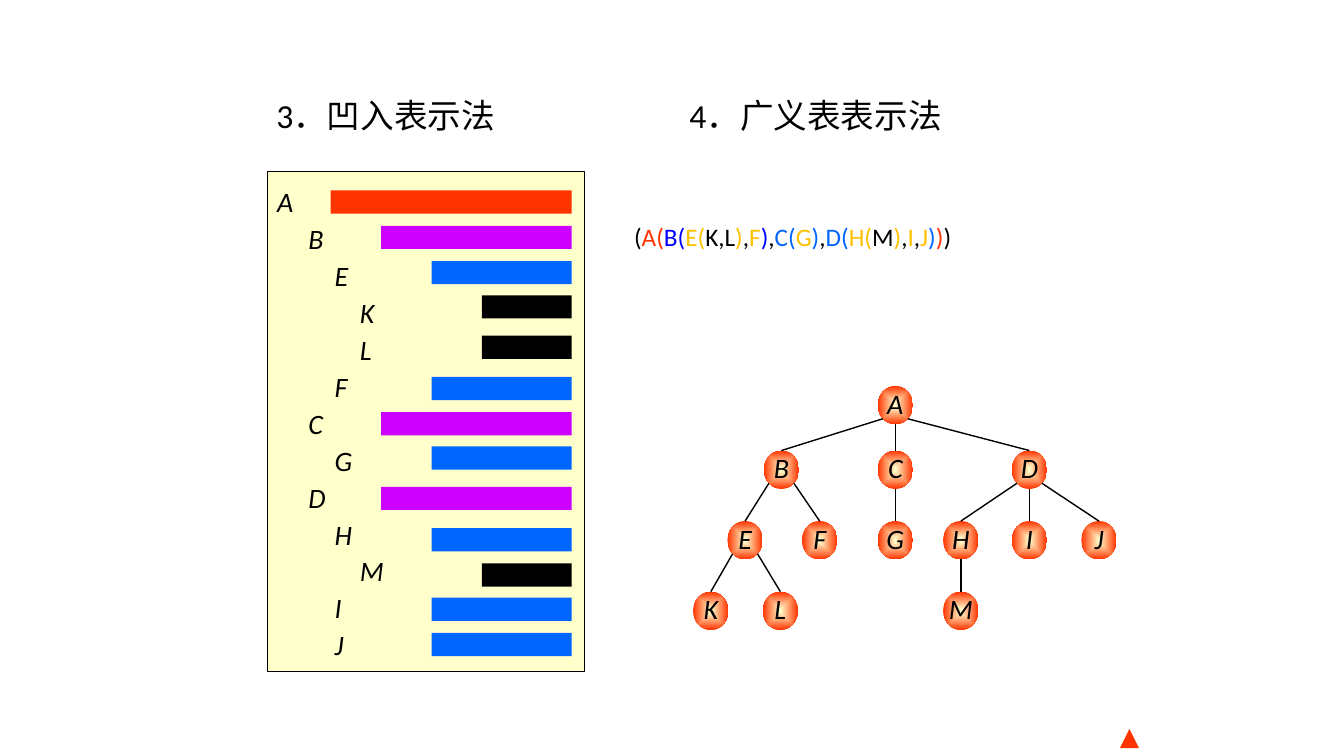
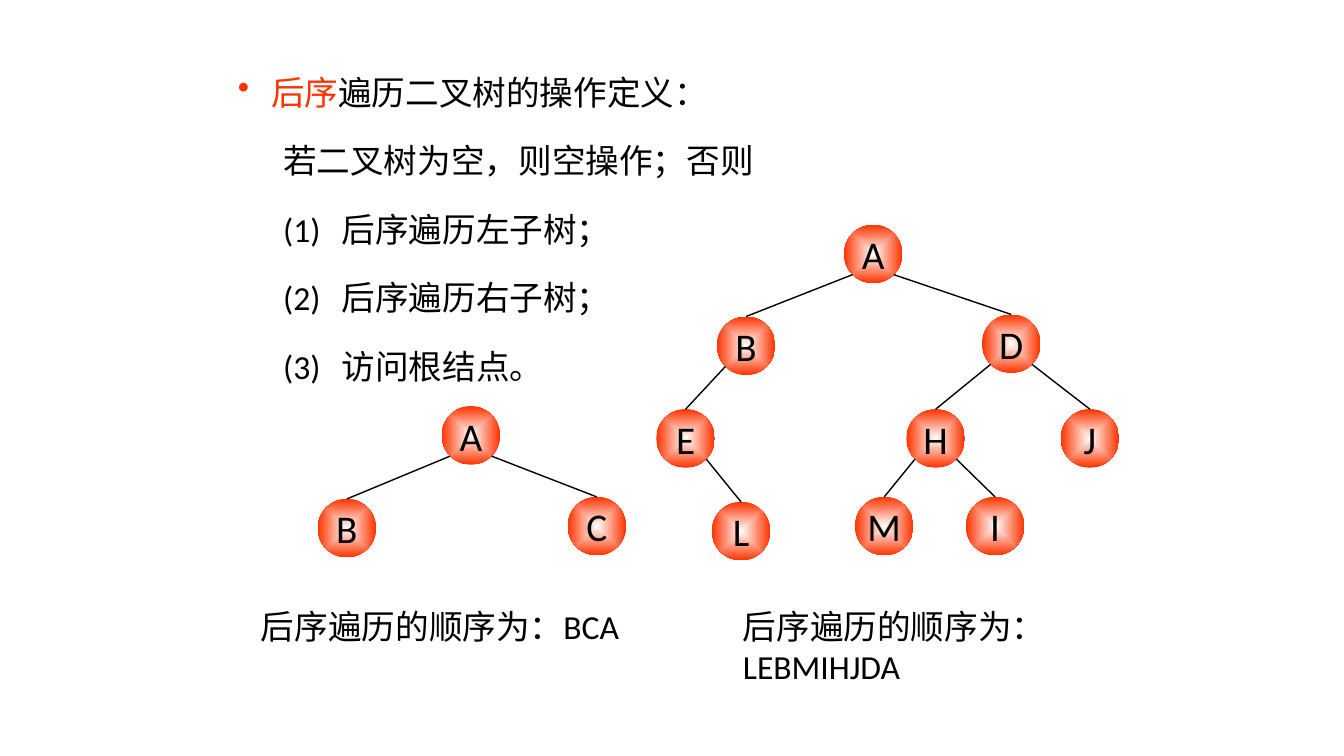
from dataclasses import dataclass
from typing import Optional, Union

from lxml.etree import SubElement
from pptx import Presentation
from pptx.dml.color import RGBColor
from pptx.enum.shapes import MSO_CONNECTOR, MSO_SHAPE
from pptx.enum.text import MSO_ANCHOR, MSO_AUTO_SIZE, PP_ALIGN
from pptx.oxml.ns import qn
from pptx.util import Pt

EMU_PER_PX = 9144
FONT = "Calibri"
BLACK, WHITE, CREAM = "000000", "FFFFFF", "FFFFCC"
RED, PURPLE, BLUE = "FF3300", "CC00FF", "0066FF"
NAVY, GOLD = "0000FF", "FFC000"
TITLE_ONLY, BLANK = 5, 6
DIAGONAL = 0.5 ** 0.5 / 2


@dataclass(frozen=True)
class Row:
    """One line of the indented list with its bar."""
    label: str
    depth: int
    bar_top: int


@dataclass(frozen=True)
class Node:
    """One tree node, placed by its horizontal centre and its top."""
    label: str
    center: int
    top: int
    parent: str = ""


@dataclass(frozen=True)
class TreeStyle:
    """Look of all nodes in one tree."""
    width: int
    height: int
    core: str
    size: int
    italic: bool = False
    spacing: Optional[float] = None


ROWS = [
    Row("A", 0, 189), Row("B", 1, 224), Row("E", 2, 259), Row("K", 3, 293),
    Row("L", 3, 333), Row("F", 2, 374), Row("C", 1, 409), Row("G", 2, 443),
    Row("D", 1, 483), Row("H", 2, 524), Row("M", 3, 559), Row("I", 2, 593),
    Row("J", 2, 628),
]
ROW_INDENTS = [0, 31, 57, 82]
BAR_COLORS = [RED, PURPLE, BLUE, BLACK]
BAR_RIGHT, BAR_WIDTH, BAR_STEP, BAR_HEIGHT = 567, 239, 50, 23

FORMULA = [
    ("(", BLACK), ("A(", RED), ("B(", NAVY), ("E(", GOLD), ("K,L", BLACK),
    (")", GOLD), (",", BLACK), ("F", GOLD), (")", NAVY), (",", BLACK),
    ("C(", BLUE), ("G", GOLD), (")", BLUE), (",", BLACK), ("D(", BLUE),
    ("H(", GOLD), ("M", BLACK), (")", GOLD), (",", BLACK), ("I", GOLD),
    (",", BLACK), ("J", GOLD), (")", BLUE), (")", RED), (")", BLACK),
]

GENERAL_STYLE = TreeStyle(35, 38, CREAM, 20, italic=True, spacing=0.9)
GENERAL_TREE = [
    Node("A", 888, 383),
    Node("B", 775, 447, "A"), Node("C", 888, 447, "A"), Node("D", 1021, 447, "A"),
    Node("E", 739, 517, "B"), Node("F", 813, 517, "B"), Node("G", 888, 517, "C"),
    Node("H", 953, 517, "D"), Node("I", 1021, 517, "D"), Node("J", 1090, 517, "D"),
    Node("K", 705, 587, "E"), Node("L", 774, 587, "E"), Node("M", 953, 587, "H"),
]

BINARY_STYLE = TreeStyle(58, 58, WHITE, 28)
SMALL_TREE = [Node("A", 467, 403), Node("B", 344, 495, "A"), Node("C", 592, 493, "A")]
LARGE_TREE = [
    Node("A", 866, 223), Node("B", 740, 314, "A"), Node("D", 1003, 312, "A"),
    Node("E", 680, 406, "B"), Node("L", 735, 498, "E"),
    Node("H", 928, 406, "D"), Node("J", 1081, 406, "D"),
    Node("M", 877, 493, "H"), Node("I", 987, 493, "H"),
]


def px(length: float) -> int:
    """Turn px into EMU."""
    return round(length * EMU_PER_PX)


def rgb(value: str) -> RGBColor:
    """Turn a hex string into a colour."""
    return RGBColor.from_string(value)


def write(frame, text: Union[str, list], *, size: int, color: str = BLACK,
          italic: bool = False, align=PP_ALIGN.LEFT, spacing: Optional[float] = None,
          margin: int = 0, hanging: int = 0, bullet: str = "") -> None:
    """Write one paragraph, either plain or as (text, colour) pieces."""
    paragraph = frame.add_paragraph() if frame.text else frame.paragraphs[0]
    properties = paragraph._p.get_or_add_pPr()
    properties.set("marL", str(px(margin)))
    properties.set("indent", str(px(-hanging)))
    if bullet:
        SubElement(properties, qn("a:buChar")).set("char", bullet)
    paragraph.alignment = align
    if spacing:
        paragraph.line_spacing = spacing
    pieces = [(text, color)] if isinstance(text, str) else text
    for words, shade in pieces:
        run = paragraph.add_run()
        run.text = words
        run.font.name = FONT
        run.font.size = Pt(size)
        run.font.italic = italic
        run.font.color.rgb = rgb(shade)


def add_box(slide, left: int, top: int, width: int, height: int, wrap: bool = True):
    """Add a text box and return its frame."""
    frame = slide.shapes.add_textbox(px(left), px(top), px(width), px(height)).text_frame
    frame.word_wrap = wrap
    return frame


def add_block(slide, preset, left: float, top: int, width: int, height: int,
              fill: str = "", border: str = ""):
    """Add a shape without shadow, with optional solid fill and border."""
    block = slide.shapes.add_shape(preset, px(left), px(top), px(width), px(height))
    block.shadow.inherit = False
    if fill:
        block.fill.solid()
        block.fill.fore_color.rgb = rgb(fill)
    if border:
        block.line.color.rgb = rgb(border)
        block.line.width = Pt(0.75)
    else:
        block.line.fill.background()
    return block


def glow(block, core: str, edge: str) -> None:
    """Fill a shape with a gradient that runs from its core to its edge."""
    block.fill.gradient()
    for stop, color in zip(block.fill.gradient_stops, (core, edge)):
        stop.color.rgb = rgb(color)
    gradient = block._element.spPr.find(qn("a:gradFill"))
    gradient.remove(gradient.find(qn("a:lin")))
    shade = SubElement(gradient, qn("a:path"))
    shade.set("path", "shape")
    target = SubElement(shade, qn("a:fillToRect"))
    for side in "ltrb":
        target.set(side, "50000")


def add_node(slide, node: Node, style: TreeStyle) -> None:
    """Draw one labelled tree node."""
    circle = add_block(slide, MSO_SHAPE.OVAL, node.center - style.width / 2, node.top,
                       style.width, style.height)
    glow(circle, style.core, RED)
    frame = circle.text_frame
    frame.word_wrap = False
    frame.vertical_anchor = MSO_ANCHOR.MIDDLE
    frame.margin_left = frame.margin_right = frame.margin_top = frame.margin_bottom = 0
    write(frame, node.label, size=style.size, italic=style.italic,
          align=PP_ALIGN.CENTER, spacing=style.spacing)


def add_edge(slide, parent: Node, child: Node, style: TreeStyle) -> None:
    """Join the lower rim of a parent to the top of its child."""
    side = (child.center > parent.center) - (child.center < parent.center)
    start_x = parent.center + side * DIAGONAL * style.width
    start_y = parent.top + style.height * (0.5 + DIAGONAL if side else 1)
    edge = slide.shapes.add_connector(MSO_CONNECTOR.STRAIGHT, px(start_x), px(start_y),
                                      px(child.center), px(child.top))
    edge.line.color.rgb = rgb(BLACK)
    edge.line.width = Pt(1)
    SubElement(edge._element.spPr, qn("a:effectLst"))


def add_tree(slide, nodes: list[Node], style: TreeStyle) -> None:
    """Draw all nodes of a tree, then its edges."""
    by_label = {node.label: node for node in nodes}
    for node in nodes:
        add_node(slide, node, style)
    for node in nodes:
        if node.parent:
            add_edge(slide, by_label[node.parent], node, style)


def add_indented_list(slide) -> None:
    """Draw the panel with indented labels and their bars."""
    panel = add_block(slide, MSO_SHAPE.RECTANGLE, 265, 170, 315, 496, CREAM, BLACK)
    frame = panel.text_frame
    frame.word_wrap = True
    frame.vertical_anchor = MSO_ANCHOR.MIDDLE
    for row in ROWS:
        write(frame, row.label, size=20, italic=True, spacing=1.1,
              margin=ROW_INDENTS[row.depth])
        width = BAR_WIDTH - BAR_STEP * row.depth
        add_block(slide, MSO_SHAPE.RECTANGLE, BAR_RIGHT - width, row.bar_top,
                  width, BAR_HEIGHT, BAR_COLORS[row.depth])


def build_notations(deck) -> None:
    """Build the slide on indented and generalized list notation."""
    slide = deck.slides.add_slide(deck.slide_layouts[TITLE_ONLY])
    title = slide.shapes.title
    title.left, title.top, title.width, title.height = map(px, (264, 89, 300, 50))
    title.text_frame.auto_size = MSO_AUTO_SIZE.NONE
    title.text_frame.vertical_anchor = MSO_ANCHOR.TOP
    write(title.text_frame, "3．凹入表示法", size=24)
    write(add_box(slide, 674, 89, 300, 50), "4．广义表表示法", size=24)
    add_indented_list(slide)
    write(add_box(slide, 1101, 723, 45, 28, wrap=False), "▲", size=18, color=RED,
          spacing=0.5)
    add_tree(slide, GENERAL_TREE, GENERAL_STYLE)
    write(add_box(slide, 619, 215, 345, 40, wrap=False), FORMULA, size=18)


def build_postorder(deck) -> None:
    """Build the slide on post-order traversal."""
    slide = deck.slides.add_slide(deck.slide_layouts[BLANK])
    definition = add_box(slide, 226, 38, 548, 349)
    write(definition, [("后序", RED), ("遍历二叉树的操作定义：", BLACK)], size=24,
          spacing=1.7, margin=33, hanging=33, bullet="•")
    write(definition, "若二叉树为空，则空操作；否则", size=24, spacing=1.7, margin=45)
    steps = ("后序遍历左子树；", "后序遍历右子树；", "访问根结点。")
    for number, step in enumerate(steps, 1):
        write(definition, f"({number})\t{step}", size=24, spacing=1.7,
              margin=103, hanging=58)
    write(add_box(slide, 249, 596, 425, 50), "后序遍历的顺序为：BCA", size=24)
    large_order = add_box(slide, 727, 596, 358, 91)
    for line in ("后序遍历的顺序为：", "LEBMIHJDA"):
        write(large_order, line, size=24)
    add_tree(slide, SMALL_TREE, BINARY_STYLE)
    add_tree(slide, LARGE_TREE, BINARY_STYLE)


def main() -> None:
    """Build and save the deck."""
    deck = Presentation()
    deck.slide_width, deck.slide_height = px(1333), px(750)
    build_notations(deck)
    build_postorder(deck)
    deck.save("out.pptx")


if __name__ == "__main__":
    main()
